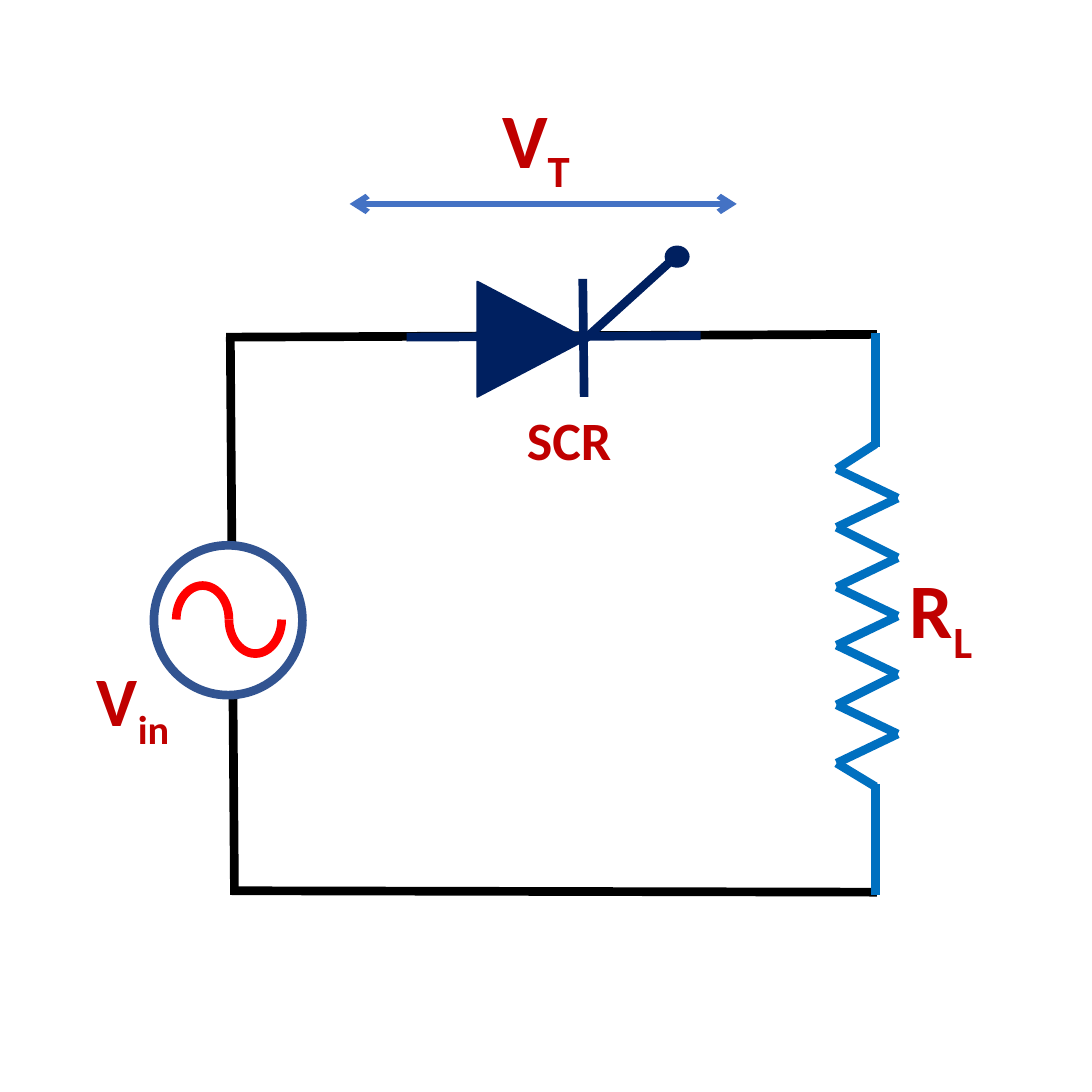
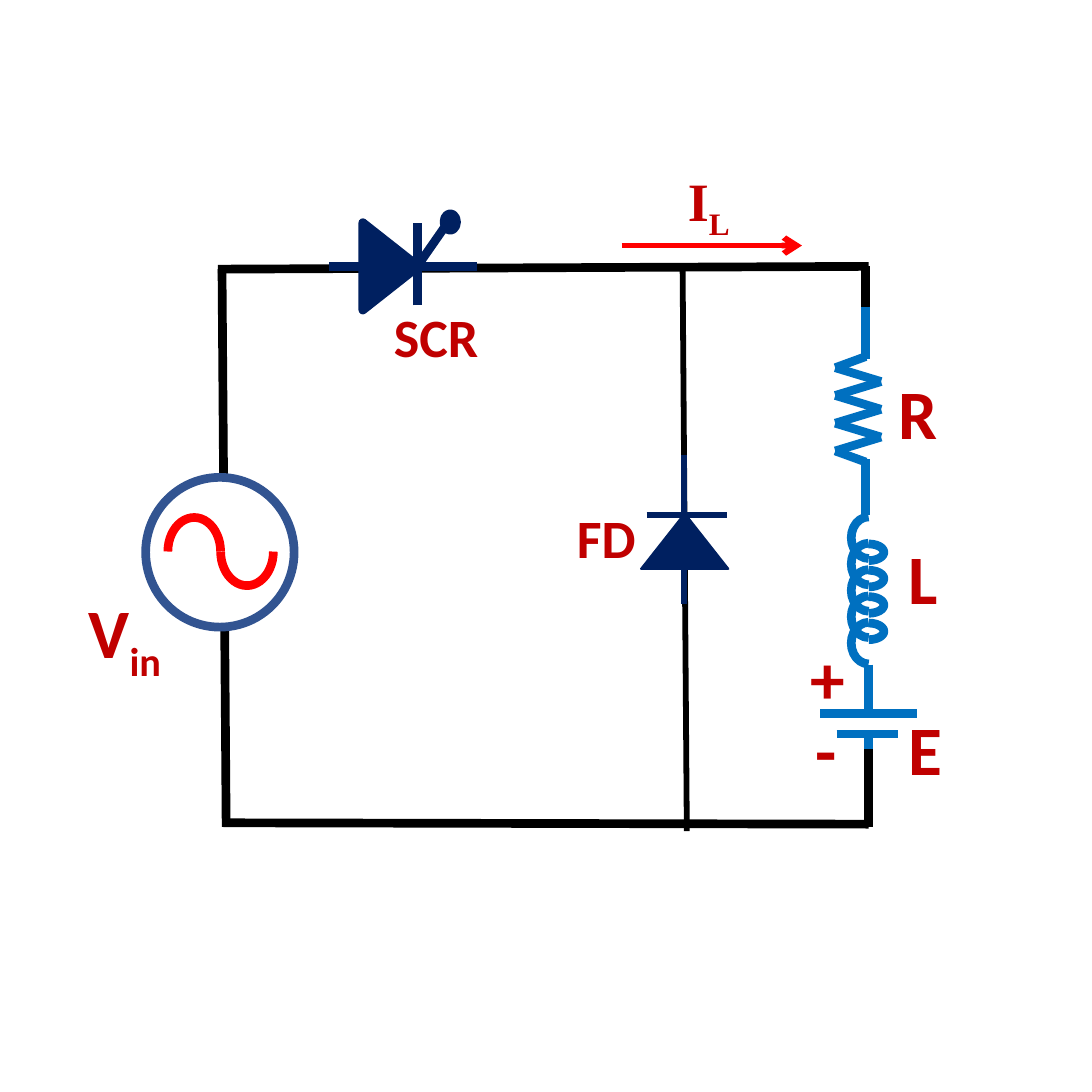
from dataclasses import dataclass

from lxml import etree
from pptx import Presentation
from pptx.dml.color import RGBColor
from pptx.enum.shapes import MSO_CONNECTOR, MSO_SHAPE
from pptx.enum.text import MSO_AUTO_SIZE
from pptx.oxml.ns import qn
from pptx.util import Emu, Pt

PX = 9144  # 100 px to the inch
SIDE = 787
BLANK_LAYOUT = 6
STRAIGHT = MSO_CONNECTOR.STRAIGHT
ARC, ELLIPSE, TRIANGLE = MSO_SHAPE.ARC, MSO_SHAPE.OVAL, MSO_SHAPE.ISOSCELES_TRIANGLE
FIT_SHAPE = MSO_AUTO_SIZE.SHAPE_TO_FIT_TEXT
HALF_TURN = 108  # 180 degrees in arc adjustment units

COLORS = {
    "wire": "000000",
    "diode": "002060",
    "load": "0070C0",
    "source": "325491",
    "sine": "FF0000",
    "current": "FF0000",
    "voltage": "4472C4",
    "label": "C00000",
    "paper": "FFFFFF",
}


@dataclass(frozen=True)
class Wire:
    x1: int
    y1: int
    x2: int
    y2: int
    color: str = "wire"
    weight: float = 4.5
    arrows: tuple[str, ...] = ()  # headEnd and/or tailEnd


@dataclass(frozen=True)
class Part:
    kind: int
    left: int
    top: int
    width: int
    height: int
    line: str | None = None
    fill: str | None = None
    rotation: int = 0
    weight: float = 4.5


@dataclass(frozen=True)
class Label:
    text: str
    left: int
    top: int
    width: int = 49
    height: int = 71
    size: int = 36
    sub: str = ""
    font: str = "Calibri"


@dataclass(frozen=True)
class Resistor:
    axis: int
    left: int
    right: int
    top: int      # upper end of the upper lead
    start: int    # where the zigzag leaves the lead
    first: int    # first left corner
    last: int     # last left corner
    end: int
    bottom: int
    steps: int
    overlap: int = 2


def px(value: int) -> Emu:
    return Emu(value * PX)


def rgb(name: str) -> RGBColor:
    return RGBColor.from_string(COLORS[name])


def draw_wire(page, wire: Wire) -> None:
    ends = (wire.x1, wire.y1, wire.x2, wire.y2)
    connector = page.shapes.add_connector(STRAIGHT, *map(px, ends))
    connector.line.color.rgb = rgb(wire.color)
    connector.line.width = Pt(wire.weight)
    for end in wire.arrows:
        etree.SubElement(connector.line._get_or_add_ln(), qn(f"a:{end}"), type="arrow")
    etree.SubElement(connector._element.spPr, qn("a:effectLst"))


def draw_part(page, part: Part) -> None:
    frame = (part.left, part.top, part.width, part.height)
    shape = page.shapes.add_shape(part.kind, *map(px, frame))
    shape.shadow.inherit = False
    shape.rotation = part.rotation
    if part.kind == ARC:
        shape.adjustments[0], shape.adjustments[1] = HALF_TURN, 0
    if part.fill:
        shape.fill.solid()
        shape.fill.fore_color.rgb = rgb(part.fill)
    else:
        shape.fill.background()
    if part.line:
        shape.line.color.rgb = rgb(part.line)
        shape.line.width = Pt(part.weight)
    else:
        shape.line.fill.background()


def draw_label(page, label: Label) -> None:
    frame = (label.left, label.top, label.width, label.height)
    box = page.shapes.add_textbox(*map(px, frame))
    box.text_frame.word_wrap = True
    box.text_frame.auto_size = FIT_SHAPE
    para = box.text_frame.paragraphs[0]
    style = {"name": label.font, "size": Pt(label.size), "bold": True}
    for text in filter(None, (label.text, label.sub)):
        span = para.add_run()
        span.text = text
        for key, value in style.items():
            setattr(span.font, key, value)
        span.font.color.rgb = rgb("label")
    if label.sub:
        span._r.get_or_add_rPr().set("baseline", "-25000")


DRAWERS = {Wire: draw_wire, Part: draw_part, Label: draw_label}


def draw_all(page, items: list[Wire | Part | Label]) -> None:
    for item in items:
        DRAWERS[type(item)](page, item)


def draw_supply(page, x: int, y: int) -> None:
    """Top, left and bottom wires with the AC source; x, y is the top left corner."""
    draw_all(page, [
        Wire(x, y, x + 469, y - 2),
        Wire(x + 3, y, x + 6, y + 402),
        Wire(x + 4, y + 399, x + 469, y + 400),
        Part(ELLIPSE, x - 52, y + 150, 107, 108, "source", "paper"),
        Part(ARC, x - 36, y + 179, 38, 49, "sine", "paper"),
        Part(ARC, x + 2, y + 179, 38, 49, "sine", "paper", 180),
        Label("V", x - 103, y + 226, 84, sub="in"),
    ])


def draw_resistor(page, unit: Resistor) -> None:
    step = (unit.last - unit.first) / unit.steps
    corners = [(unit.right if i % 2 else unit.left, round(unit.first + i * step))
               for i in range(unit.steps + 1)]
    points = [(unit.axis, unit.start), *corners, (unit.axis, unit.end)]
    draw_all(page, [
        Wire(unit.axis, unit.top, unit.axis, unit.start + unit.overlap, "load"),
        *(Wire(*a, *b, "load") for a, b in zip(points, points[1:])),
        Wire(unit.axis, unit.end - unit.overlap, unit.axis, unit.bottom, "load"),
    ])


def draw_coil(page, left: int, top: int, turns: int, pitch: int) -> None:
    for i in range(turns + 1):
        y = top + i * pitch
        draw_part(page, Part(ARC, left, y, 30, 25, "load", rotation=270))
        if i < turns:
            draw_part(page, Part(ARC, left + 9, y + 12, 12, 22, "load", rotation=90))


def draw_resistive_circuit(page) -> None:
    draw_supply(page, 163, 243)
    draw_all(page, [
        # Thyristor
        Part(TRIANGLE, 342, 205, 83, 79, "diode", "diode", 90, 1),
        Wire(421, 286, 420, 201, "diode"),
        Wire(505, 242, 293, 243, "diode"),
        Part(ELLIPSE, 479, 177, 18, 16, fill="diode"),
        Wire(487, 185, 422, 244, "diode"),
        Label("SCR", 370, 288, 84, 57, 28),
        # Voltage across it
        Wire(252, 147, 531, 147, "voltage", 3, ("headEnd", "tailEnd")),
        Label("V", 352, 61, 84, 77, 40, "T"),
    ])
    # Load
    draw_resistor(page, Resistor(631, 603, 647, 240, 320, 338, 550, 567, 645, 10))
    draw_label(page, Label("R", 646, 400, 84, 77, 40, "L"))


def draw_freewheeling_circuit(page) -> None:
    draw_supply(page, 157, 194)
    # Load: resistor, coil and battery
    draw_wire(page, Wire(624, 192, 624, 248))
    draw_resistor(page, Resistor(624, 602, 635, 221, 257, 265, 325, 333, 371, 6))
    draw_coil(page, 611, 375, turns=4, pitch=19)
    draw_all(page, [
        Wire(626, 479, 626, 516, "load"),
        Wire(591, 514, 661, 514, "load"),
        Wire(603, 529, 647, 529, "load"),
        Wire(626, 529, 626, 568, "load"),
        Wire(626, 540, 626, 596),
        Label("R", 638, 262),
        Label("L", 645, 381),
        Label("E", 645, 504),
        Label("+", 574, 453),
        Label("-", 578, 505),
        # Thyristor
        Part(TRIANGLE, 250, 172, 63, 40, "diode", "diode", 90),
        Wire(301, 220, 301, 161, "diode"),
        Wire(344, 192, 237, 192, "diode"),
        Part(ELLIPSE, 320, 154, 9, 12, "diode", "diode"),
        Wire(323, 160, 300, 193, "diode"),
        Label("SCR", 274, 214, 84, 57, 28),
        # Freewheeling diode
        Wire(492, 195, 495, 599, weight=3),
        Part(TRIANGLE, 462, 370, 63, 40, "diode", "diode", weight=1),
        Wire(466, 371, 524, 371, "diode", 3),
        Wire(493, 328, 493, 435, "diode", 3),
        Label("FD", 406, 359, 84, 57, 28),
        # Load current
        Wire(448, 177, 578, 177, "current", 3, ("tailEnd",)),
        Label("I", 486, 116, 84, 57, 28, "L", "Times New Roman"),
    ])


def main() -> None:
    deck = Presentation()
    deck.slide_width = deck.slide_height = px(SIDE)
    for draw in (draw_resistive_circuit, draw_freewheeling_circuit):
        draw(deck.slides.add_slide(deck.slide_layouts[BLANK_LAYOUT]))
    deck.save("out.pptx")


if __name__ == "__main__":
    main()
